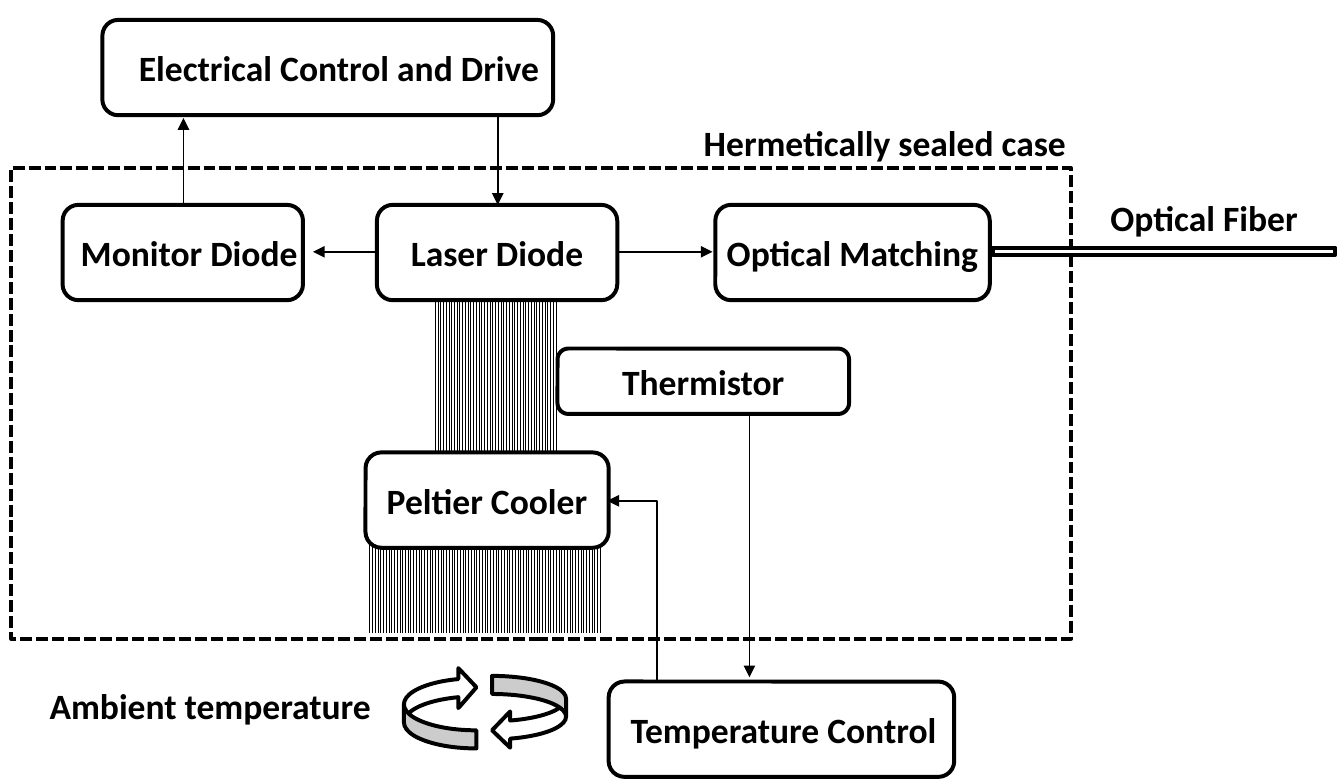
from typing import Any, NamedTuple

from lxml import etree
from pptx import Presentation
from pptx.dml.color import RGBColor
from pptx.enum.dml import MSO_LINE, MSO_PATTERN
from pptx.enum.shapes import MSO_CONNECTOR, MSO_SHAPE
from pptx.enum.text import MSO_ANCHOR, PP_ALIGN
from pptx.oxml.ns import qn
from pptx.util import Inches, Pt

RECT, ROUND = MSO_SHAPE.RECTANGLE, MSO_SHAPE.ROUNDED_RECTANGLE
CURVED = MSO_SHAPE.CURVED_LEFT_ARROW
LINE, ELBOW = MSO_CONNECTOR.STRAIGHT, MSO_CONNECTOR.ELBOW
DASH, HATCH = MSO_LINE.SQUARE_DOT, MSO_PATTERN.LIGHT_VERTICAL
MIDDLE, CENTER, LEFT = MSO_ANCHOR.MIDDLE, PP_ALIGN.CENTER, PP_ALIGN.LEFT
BLACK, WHITE = "000000", "FFFFFF"
STEP = 0.05
TALL = 13.4
FONT = {"name": "Calibri", "size": Pt(18), "bold": True}
PLAIN = {"word_wrap": False}
INNER = {"word_wrap": False, "vertical_anchor": MIDDLE, "margin_right": 0,
         "margin_top": 0, "margin_bottom": 0}


class Box(NamedTuple):
    """Left, top, width and height in grid steps."""
    x: float
    y: float
    w: float
    h: float


class Node(NamedTuple):
    """A rounded block with its name and left inset."""
    text: str
    box: Box
    inset: float = 0


class Label(NamedTuple):
    """A free caption."""
    text: str
    box: Box


class Link(NamedTuple):
    """A straight arrow between two grid points."""
    x1: float
    y1: float
    x2: float
    y2: float


CASE = Box(1.6, 23.6, 149, 66.2)
FIBER = Box(139.6, 34.8, 48.2, 1)
SINKS = [(Box(51.6, 75.6, 33, TALL), 0.25), (Box(60.8, 38.8, 17.8, 26.6), 2)]
LINKS = [
    Link(105.4, 50.4, 105.4, 95.2),
    Link(70, 10.4, 70, 28.8),
    Link(25.8, 28.8, 25.8, 16.6),
    Link(53, 35.4, 44, 35.4),
    Link(86.8, 35.4, 100.2, 35.4),
]
BEND = Link(70.8, 92, 107, 85)
NODES = [
    Node("Laser Diode", Box(53, 28.8, 33.8, TALL)),
    Node("Optical Matching", Box(100.6, 28.8, 38.6, TALL)),
    Node("Thermistor", Box(78.4, 49, 41, 9.2)),
    Node("Monitor Diode", Box(8.8, 28.8, 33.8, TALL), 1.8),
    Node("Electrical Control and Drive", Box(14.4, 2.8, 63.4, TALL), 3.2),
    Node("Peltier Cooler", Box(51.4, 63.6, 34.2, TALL)),
    Node("Temperature Control", Box(85.6, 95.8, 48.6, TALL), 0.6),
]
LABELS = [
    Label("Ambient temperature", Box(5, 95.2, 49.6, 8)),
    Label("Optical Fiber", Box(154.2, 26.6, 30.6, 8)),
    Label("Hermetically sealed case", Box(97, 16, 55.4, 8)),
]


def color(code: str) -> RGBColor:
    """Turn a hex string into a colour."""
    return RGBColor.from_string(code)


def span(*cells: float) -> list[int]:
    """Turn grid steps into lengths."""
    return [Inches(cell * STEP) for cell in cells]


def style(item: Any, look: dict[str, Any]) -> None:
    """Set each format value on an item."""
    for key, value in look.items():
        setattr(item, key, value)


def write(shape: Any, text: str, look: dict[str, Any], align: Any) -> None:
    """Put bold black text in a shape."""
    frame = shape.text_frame
    style(frame, look)
    para = frame.paragraphs[0]
    para.alignment = align
    run = para.add_run()
    run.text = text
    style(run.font, FONT)
    run.font.color.rgb = color(BLACK)


def block(shapes: Any, kind: Any, box: Box, ink: str = BLACK, width: float = 2) -> Any:
    """Draw a white outlined shape."""
    shape = shapes.add_shape(kind, *span(*box))
    shape.shadow.inherit = False
    shape.fill.solid()
    shape.fill.fore_color.rgb = color(WHITE)
    shape.line.color.rgb = color(ink)
    shape.line.width = Pt(width)
    return shape


def sink(shapes: Any, box: Box, width: float) -> None:
    """Draw a hatched heat path."""
    fill = block(shapes, RECT, box, WHITE, width).fill
    fill.patterned()
    fill.pattern = HATCH
    fill.fore_color.rgb = color(BLACK)
    fill.back_color.rgb = color(WHITE)


def arrow(shapes: Any, kind: Any, link: Link) -> Any:
    """Draw a thin line with a closing arrowhead."""
    wire = shapes.add_connector(kind, *span(*link))
    wire.line.color.rgb = color(BLACK)
    wire.line.width = Pt(0.75)
    etree.SubElement(wire.line._get_or_add_ln(), qn("a:tailEnd"), type="triangle")
    etree.SubElement(wire._element.spPr, qn("a:effectLst"))
    return wire


def bend(shapes: Any, link: Link) -> None:
    """Draw a single-corner arrow turned a quarter left."""
    prop = arrow(shapes, ELBOW, link)._element.spPr
    prop.find(qn("a:xfrm")).set("rot", str(270 * 60000))
    prop.find(qn("a:prstGeom")).set("prst", "bentConnector2")


def main() -> None:
    """Build and save the slide."""
    deck = Presentation()
    deck.slide_width, deck.slide_height = Inches(9.45), Inches(5.51)
    shapes = deck.slides.add_slide(deck.slide_layouts[6]).shapes
    block(shapes, RECT, CASE).line.dash_style = DASH
    bend(shapes, BEND)
    for box, width in SINKS:
        sink(shapes, box, width)
    for link in LINKS:
        arrow(shapes, LINE, link)
    block(shapes, RECT, FIBER)
    for node in NODES:
        look = INNER | {"margin_left": Inches(node.inset * STEP)}
        write(block(shapes, ROUND, node.box), node.text, look, CENTER)
    block(shapes, CURVED, Box(69.2, 95, 10.4, 10.2))
    back = block(shapes, CURVED, Box(56.8, 93.8, 10.2, 11.4))
    back.rotation = 180
    back.adjustments[1] = 0.55
    for label in LABELS:
        write(shapes.add_textbox(*span(*label.box)), label.text, PLAIN, LEFT)
    deck.save("out.pptx")


main()
